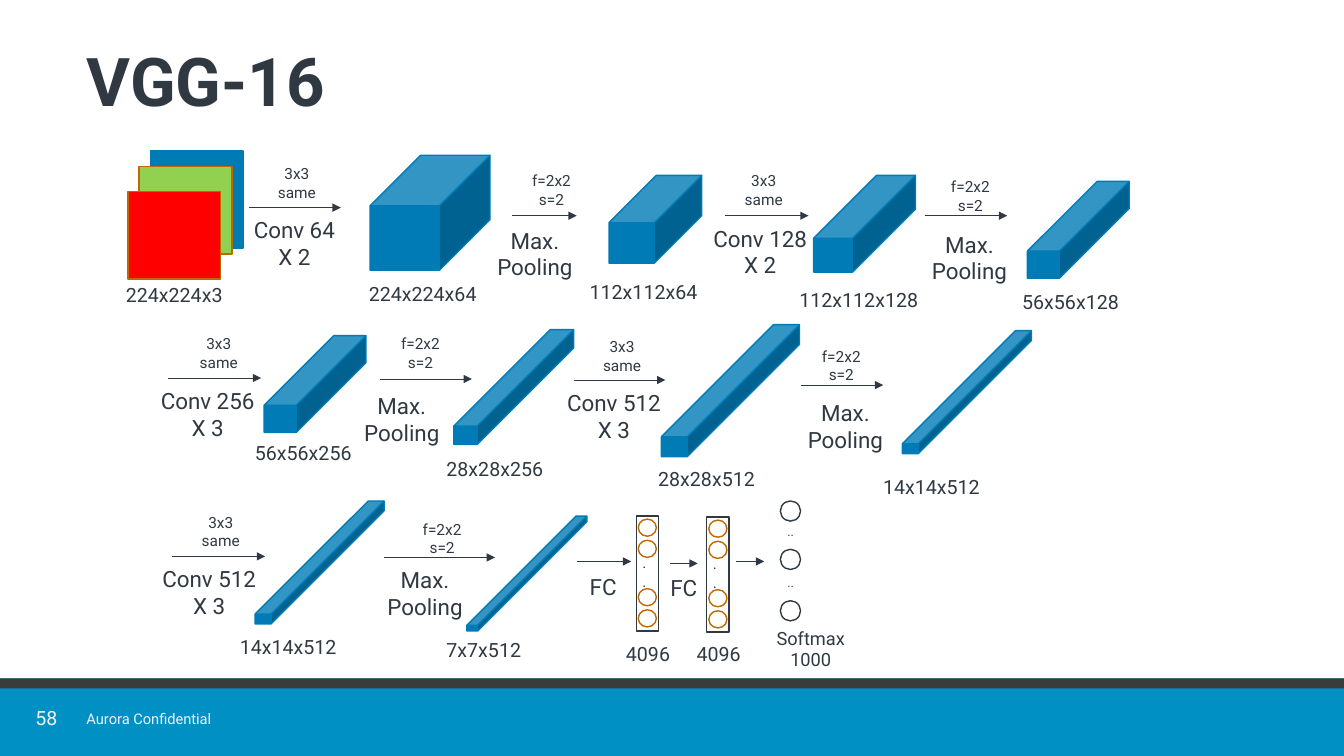
from dataclasses import dataclass
from typing import Optional

from lxml.etree import SubElement
from pptx import Presentation
from pptx.dml.color import RGBColor
from pptx.enum.shapes import MSO_CONNECTOR, MSO_SHAPE
from pptx.enum.text import MSO_ANCHOR, MSO_AUTO_SIZE, PP_ALIGN
from pptx.oxml.ns import qn
from pptx.util import Inches, Pt

INK = RGBColor(0x30, 0x39, 0x42)
BLUE = RGBColor(0x00, 0x7B, 0xB6)
GREEN = RGBColor(0x92, 0xD0, 0x50)
RED = RGBColor(0xFF, 0x00, 0x00)
ORANGE = RGBColor(0xBD, 0x69, 0x00)
FOOTER_BLUE = RGBColor(0x00, 0x90, 0xC3)
FOOTER_DARK = RGBColor(0x38, 0x3D, 0x3B)
FOOTER_TEXT = RGBColor(0xF2, 0xF2, 0xF2)

# Grid of square cells: 133.3 columns by 75 rows
COLUMNS, ROWS = 133.3, 75
CELL = Inches(0.1)


def cells(count: float) -> int:
    return round(count * CELL)


@dataclass(frozen=True)
class Box:
    column: float
    row: float
    columns: float
    rows: float

    def lengths(self) -> tuple:
        return tuple(map(cells, (self.column, self.row, self.columns, self.rows)))


@dataclass(frozen=True)
class Volume:
    """Feature map drawn as a cube, with its dimensions below."""
    box: Box
    depth: float
    label: str
    label_box: Box


@dataclass(frozen=True)
class Step:
    """Arrow with filter settings above and the operation below."""
    start: float
    end: float
    row: float
    note_box: Box
    operation_box: Box
    operation: str = "Max.\nPooling"

    @property
    def note(self) -> str:
        return "3x3\nsame" if self.operation.startswith("Conv") else "f=2x2\ns=2"


VOLUMES = [
    Volume(Box(36.7, 15.4, 11.9, 11.4), 0.44, "224x224x64", Box(35.6, 27.5, 13, 3.4)),
    Volume(Box(60.4, 17.4, 9.2, 8.7), 0.54, "112x112x64", Box(57.5, 27.3, 13.7, 3.4)),
    Volume(Box(80.7, 17.4, 10.1, 9.6), 0.65, "112x112x128", Box(78.3, 28.1, 14.3, 3.4)),
    Volume(Box(101.9, 18, 10.1, 9.6), 0.72, "56x56x128", Box(100.4, 28.3, 12.3, 3.4)),
    Volume(Box(26.2, 33.3, 10.1, 9.6), 0.72, "56x56x256", Box(24.3, 43.3, 12.3, 3.4)),
    Volume(Box(45, 32.7, 11.9, 11.4), 0.84, "28x28x256", Box(43.3, 44.8, 12.3, 3.4)),
    Volume(Box(65.6, 32.2, 13.7, 13.1), 0.85, "28x28x512", Box(64.3, 45.8, 12.3, 3.4)),
    Volume(Box(89.5, 32.8, 12.8, 12.2), 0.92, "14x14x512", Box(86.6, 46.6, 12.3, 3.4)),
    Volume(Box(25.3, 49.7, 12.8, 12.2), 0.92, "14x14x512", Box(22.8, 62.5, 12.3, 3.4)),
    Volume(Box(46.3, 51.2, 11.9, 11.4), 0.95, "7x7x512", Box(43.3, 62.8, 12.3, 3.4)),
]
STEPS = [
    Step(24.7, 33.8, 20.6, Box(26.1, 15.8, 6.7, 4.7), Box(23.9, 21, 10.6, 6.4), "Conv 64\nX 2"),
    Step(50.8, 57.2, 21.4, Box(51.4, 16.5, 6.6, 4.7), Box(47.8, 22, 10.5, 6.4)),
    Step(71.9, 80.2, 21.4, Box(72.7, 16.5, 6.1, 4.7), Box(69.7, 21.8, 11.4, 6.4), "Conv 128\nX 2"),
    Step(91.7, 99.9, 21.4, Box(92.6, 17.1, 7.3, 4.7), Box(90.9, 22.4, 10.5, 6.4)),
    Step(16.7, 25.9, 37.5, Box(18.1, 32.7, 7.2, 4.7), Box(14.6, 37.9, 12, 6.4), "Conv 256\nX 3"),
    Step(37.7, 46.8, 37.6, Box(38.3, 32.7, 6.8, 4.7), Box(34.6, 38.4, 10.5, 6.4)),
    Step(56.9, 66, 37.7, Box(58.3, 33, 6.8, 4.7), Box(55.1, 38.1, 11.6, 6.4), "Conv 512\nX 3"),
    Step(79.4, 87.6, 38.2, Box(80.3, 33.9, 6.3, 4.7), Box(78.6, 39.1, 10.5, 6.4)),
    Step(17.1, 26.3, 55.2, Box(18.5, 50.4, 6.8, 4.7), Box(14.5, 55.6, 12.5, 6.4), "Conv 512\nX 3"),
    Step(38.1, 49.1, 55.3, Box(40.1, 51.1, 7.5, 4.7), Box(36.9, 55.7, 10.5, 6.4)),
]


def add_figure(slide, kind: MSO_SHAPE, box: Box, fill: Optional[RGBColor] = None,
               line: Optional[RGBColor] = None):
    shape = slide.shapes.add_shape(kind, *box.lengths())
    shape.shadow.inherit = False
    if fill is None:
        shape.fill.background()
    else:
        shape.fill.solid()
        shape.fill.fore_color.rgb = fill
    if line is None:
        shape.line.fill.background()
    else:
        shape.line.color.rgb = line
        shape.line.width = Pt(1)
    return shape


def add_text(slide, text: str, box: Box, size: float, color: RGBColor = INK,
             bold: bool = False, paragraph_format: Optional[dict] = None,
             frame_format: Optional[dict] = None) -> None:
    frame = slide.shapes.add_textbox(*box.lengths()).text_frame
    frame_values = {"word_wrap": True, "auto_size": MSO_AUTO_SIZE.SHAPE_TO_FIT_TEXT}
    for name, value in (frame_values | (frame_format or {})).items():
        setattr(frame, name, value)
    frame.text = text
    for paragraph in frame.paragraphs:
        for name, value in (paragraph_format or {}).items():
            setattr(paragraph, name, value)
        for name, value in {"name": "Roboto", "size": Pt(size), "bold": bold}.items():
            setattr(paragraph.font, name, value)
        paragraph.font.color.rgb = color


def add_arrow(slide, start: float, end: float, row: float) -> None:
    connector = slide.shapes.add_connector(
        MSO_CONNECTOR.STRAIGHT, cells(start), cells(row), cells(end), cells(row))
    connector.line.color.rgb = INK
    connector.line.width = Pt(0.5)
    properties = connector.element.spPr
    SubElement(properties.find(qn("a:ln")), qn("a:tailEnd"), type="triangle")
    SubElement(properties, qn("a:effectLst"))


def add_dense_layer(slide, column: float, row: float) -> None:
    add_figure(slide, MSO_SHAPE.RECTANGLE, Box(column, row, 2.2, 11.4), line=INK)
    for offset in (0.3, 2.4, 7.2, 9.3):
        add_figure(slide, MSO_SHAPE.OVAL, Box(column + 0.2, row + offset, 1.8, 1.7), line=ORANGE)
    add_text(slide, "..", Box(column + 0.2, row + 3.2, 1.4, 4.7), 11)
    add_text(slide, "4096", Box(column - 2, 63.2, 6.8, 3.4), 14)


def main() -> None:
    presentation = Presentation()
    presentation.slide_width = cells(COLUMNS)
    presentation.slide_height = cells(ROWS)
    slide = presentation.slides.add_slide(presentation.slide_layouts[6])
    centred = {"alignment": PP_ALIGN.CENTER}
    fixed = {"auto_size": MSO_AUTO_SIZE.NONE, "vertical_anchor": MSO_ANCHOR.MIDDLE}

    # Footer and title
    add_figure(slide, MSO_SHAPE.RECTANGLE, Box(0, 67.3, COLUMNS, 7.7), FOOTER_BLUE)
    add_figure(slide, MSO_SHAPE.RECTANGLE, Box(0, 67.3, COLUMNS, 1), FOOTER_DARK)
    no_margins = dict.fromkeys(("margin_left", "margin_top", "margin_right", "margin_bottom"), 0)
    add_text(slide, "58", Box(3.3, 70.2, 2.6, 2.3), 14, FOOTER_TEXT,
             paragraph_format=centred | {"line_spacing": 0.9}, frame_format=fixed | no_margins)
    add_text(slide, "Aurora Confidential", Box(7.6, 69.9, 16, 2.8), 10.5, FOOTER_TEXT,
             frame_format={"word_wrap": False})
    add_text(slide, "VGG-16", Box(7.6, 3.2, 119.1, 10.8), 48, bold=True,
             paragraph_format={"line_spacing": 0.8}, frame_format=fixed)

    # Input image channels
    for box, fill, line in ((Box(14.9, 15, 9.2, 9.6), BLUE, BLUE),
                            (Box(13.8, 16.5, 9.2, 8.7), GREEN, ORANGE),
                            (Box(12.7, 19, 9.2, 8.7), RED, ORANGE)):
        add_figure(slide, MSO_SHAPE.RECTANGLE, box, fill, line)
    add_text(slide, "224x224x3", Box(11.5, 27.6, 12.3, 3.4), 14)

    # Convolution and pooling
    for volume in VOLUMES:
        cube = add_figure(slide, MSO_SHAPE.CUBE, volume.box, BLUE, BLUE)
        cube.adjustments[0] = volume.depth
        add_text(slide, volume.label, volume.label_box, 14)
    for step in STEPS:
        add_arrow(slide, step.start, step.end, step.row)
        add_text(slide, step.note, step.note_box, 11, paragraph_format=centred)
        add_text(slide, step.operation, step.operation_box, 16, paragraph_format=centred)

    # Fully connected layers
    for column, row in ((63.1, 51.2), (70.1, 51.3)):
        add_dense_layer(slide, column, row)
    for start, end, row in ((57.2, 62.6, 55.7), (66.5, 69.2, 55.9), (73, 75.8, 55.7)):
        add_arrow(slide, start, end, row)
    for column, row in ((57.5, 56.4), (65.5, 56.5)):
        add_text(slide, "FC", Box(column, row, 4.8, 3.7), 16)

    # Softmax output
    for row in (49.7, 54.5, 59.6):
        add_figure(slide, MSO_SHAPE.OVAL, Box(77.4, row, 2, 2), line=INK)
    for row in (50, 56.5):
        add_text(slide, "..\n..", Box(77.1, row, 2.8, 3.5), 9)
    add_text(slide, "Softmax\n1000", Box(75.5, 61.7, 9.8, 6.1), 13, paragraph_format=centred)

    presentation.save("out.pptx")


if __name__ == "__main__":
    main()
